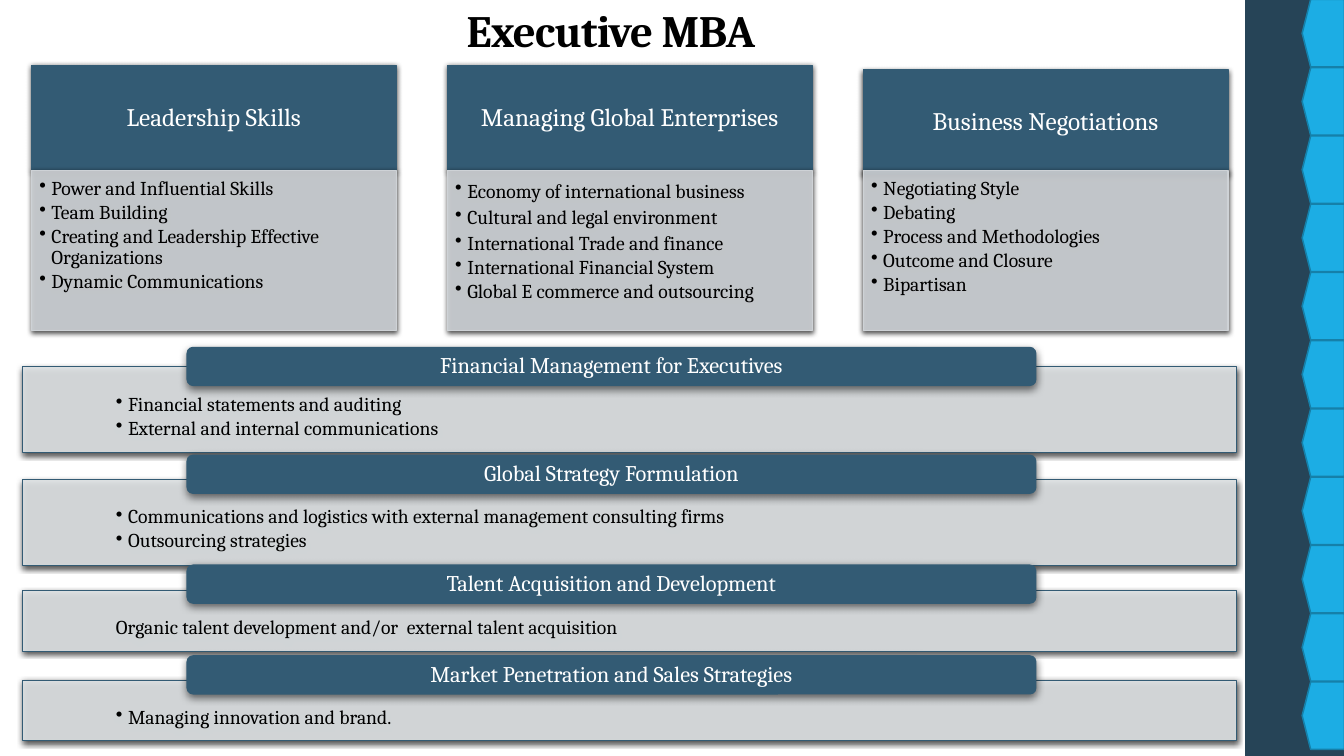
from dataclasses import dataclass

from lxml import etree
from pptx import Presentation
from pptx.dml.color import RGBColor
from pptx.enum.shapes import MSO_SHAPE
from pptx.enum.text import MSO_ANCHOR, PP_ALIGN
from pptx.oxml.ns import qn
from pptx.util import Inches, Pt

RECT = MSO_SHAPE.RECTANGLE
ROUNDED = MSO_SHAPE.ROUNDED_RECTANGLE
TAB = MSO_SHAPE.FLOWCHART_OFFPAGE_CONNECTOR
TOP, MIDDLE, BOTTOM = MSO_ANCHOR.TOP, MSO_ANCHOR.MIDDLE, MSO_ANCHOR.BOTTOM
LEFT, CENTER = PP_ALIGN.LEFT, PP_ALIGN.CENTER


@dataclass(frozen=True)
class Theme:
    font: str = "Cambria"
    ink: str = "000000"
    white: str = "FFFFFF"
    header: str = "335B74"
    card: str = "CED2D6"
    panel: str = "DFE3E5"
    sidebar: str = "264457"
    tab: str = "1CADE4"
    tab_line: str = "1580A9"
    title_size: float = 32
    card_size: float = 18
    section_size: float = 16
    body_size: float = 14
    soft_shadow: tuple = (75, 4, 1.2)
    deep_shadow: tuple = (55, 6, 2)


class Deck:
    def __init__(self, theme):
        self.theme = theme
        self.prs = Presentation()
        self.prs.slide_width, self.prs.slide_height = Inches(13.33), Inches(7.5)
        self.slide = self.prs.slides.add_slide(self.prs.slide_layouts[6])

    def shape(self, kind, box, fill, line=None, width=0.75, opacity=100, shadow=None):
        sp = self.slide.shapes.add_shape(kind, *map(Inches, box))
        sp.fill.solid()
        sp.fill.fore_color.rgb = RGBColor.from_string(fill)
        if opacity < 100:
            color = sp.fill._xPr.find(qn("a:solidFill"))[0]
            etree.SubElement(color, qn("a:alpha"), val=str(opacity * 1000))
        if line:
            sp.line.color.rgb = RGBColor.from_string(line)
            sp.line.width = Pt(width)
        else:
            sp.line.fill.background()
        sp.shadow.inherit = False
        if shadow:
            self.cast_shadow(sp, *shadow)
        return sp

    def cast_shadow(self, sp, opacity, blur, distance):
        effects = sp._element.spPr.find(qn("a:effectLst"))
        outer = etree.SubElement(effects, qn("a:outerShdw"), blurRad=str(Pt(blur)),
                                 dist=str(Pt(distance)), dir="5400000", rotWithShape="0")
        color = etree.SubElement(outer, qn("a:srgbClr"), val=self.theme.ink)
        etree.SubElement(color, qn("a:alpha"), val=str(opacity * 1000))

    def frame(self, sp, anchor, insets):
        tf = sp.text_frame
        tf.word_wrap = True
        tf.vertical_anchor = anchor
        tf.margin_left, tf.margin_top, tf.margin_right, tf.margin_bottom = map(Inches, insets)
        return tf

    def style(self, p, size, color, align, spacing=0.9):
        p.alignment = align
        p.line_spacing = spacing
        for r in p.runs:
            r.font.name = self.theme.font
            r.font.size = Pt(size)
            r.font.color.rgb = RGBColor.from_string(color)

    def heading(self, sp, text, size, insets):
        p = self.frame(sp, MIDDLE, insets).paragraphs[0]
        p.text = text
        self.style(p, size, self.theme.white, CENTER)

    def items(self, sp, lines, insets, bullets=True, loose=0):
        tf = self.frame(sp, TOP, insets)
        tf.text = "\n".join(lines)
        for i, p in enumerate(tf.paragraphs):
            self.style(p, self.theme.body_size, self.theme.ink, LEFT, 1.0 if i < loose else 0.9)
            p.space_after = Pt(2)
            pPr = p._p.get_or_add_pPr()
            pPr.set("marL", str(Inches(0.12)))
            pPr.set("indent", str(Inches(-0.12)))
            if bullets:
                etree.SubElement(pPr, qn("a:buChar"), char="•")

    def title(self, text):
        sp = self.slide.shapes.add_textbox(*map(Inches, (1.06, -0.01, 10, 0.62)))
        p = self.frame(sp, BOTTOM, (0.1, 0.05, 0.1, 0.05)).paragraphs[0]
        p.text = text
        self.style(p, self.theme.title_size, self.theme.ink, CENTER, 1.0)
        r = p.runs[0]
        r.font.bold = True
        r.font._element.set("spc", "-50")

    def sidebar(self, tabs):
        t = self.theme
        self.shape(RECT, (12.35, 0, 1, 7.5), t.sidebar)
        first, last = 0.12, 6.89
        step = (last - first) / (tabs - 1)
        for i in range(tabs):
            sp = self.shape(TAB, (12.79, first + i * step, 0.67, 0.42), t.tab, t.tab_line, 1.1)
            sp.rotation = 90

    def card(self, left, top, heading, lines, loose):
        t = self.theme
        sp = self.shape(RECT, (left, top, 3.62, 1.04), t.header, t.header, shadow=t.soft_shadow)
        self.heading(sp, heading, t.card_size, (0.14, 0.08, 0.14, 0.08))
        sp = self.shape(RECT, (left, 1.69, 3.62, 1.59), t.card, t.card,
                        opacity=90, shadow=t.soft_shadow)
        self.items(sp, lines, (0.08, 0.08, 0.11, 0.12), loose=loose)

    def section(self, top, height, pill_top, heading, lines, bullets):
        t = self.theme
        sp = self.shape(RECT, (0.22, top, 12.04, height), t.panel, t.header,
                        opacity=90, shadow=t.soft_shadow)
        self.items(sp, lines, (0.93, 0.27, 0.93, 0.11), bullets)
        sp = self.shape(ROUNDED, (1.85, pill_top, 8.43, 0.39), t.header, shadow=t.deep_shadow)
        self.heading(sp, heading, t.section_size, (0.34, 0, 0.34, 0))


CARDS = [
    (0.65, "Leadership Skills",
     ["Power and Influential Skills", "Team Building",
      "Creating and Leadership Effective Organizations", "Dynamic Communications"], 0),
    (0.65, "Managing Global Enterprises",
     ["Economy of international business", "Cultural and legal environment",
      "International Trade and finance", "International Financial System",
      "Global E commerce and outsourcing"], 3),
    (0.69, "Business Negotiations",
     ["Negotiating Style", "Debating", "Process and Methodologies",
      "Outcome and Closure", "Bipartisan"], 0),
]

SECTIONS = [
    (3.64, 0.85, 3.44, "Financial Management for Executives",
     ["Financial statements and auditing", "External and internal communications"], True),
    (4.76, 0.85, 4.51, "Global Strategy Formulation",
     ["Communications and logistics with external management consulting firms",
      "Outsourcing strategies"], True),
    (5.86, 0.6, 5.6, "Talent Acquisition and Development",
     ["Organic talent development and/or  external talent acquisition"], False),
    (6.75, 0.6, 6.5, "Market Penetration and Sales Strategies",
     ["Managing innovation and brand."], True),
]


def main():
    deck = Deck(Theme())
    deck.sidebar(11)
    deck.title("Executive MBA")
    for i, card in enumerate(CARDS):
        deck.card(0.31 + i * 4.125, *card)
    for section in SECTIONS:
        deck.section(*section)
    deck.prs.save("out.pptx")


if __name__ == "__main__":
    main()
